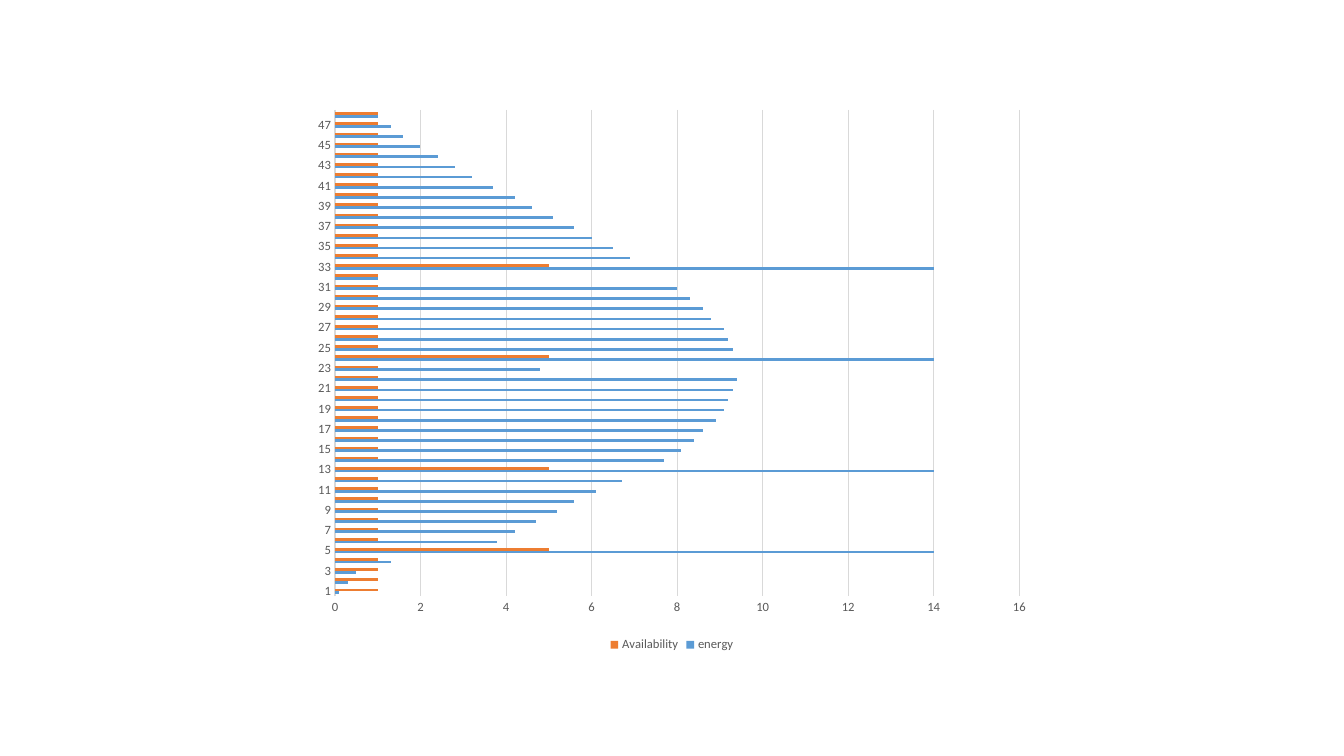
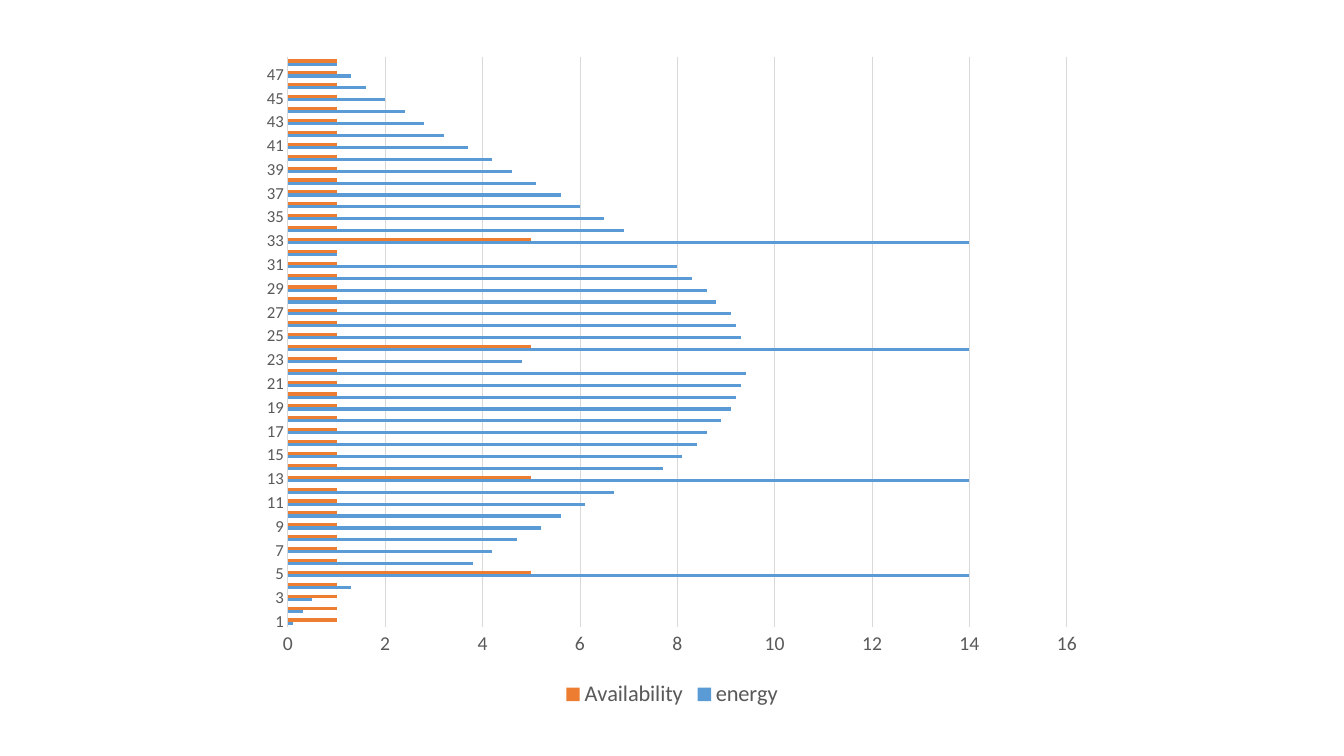
from pptx import Presentation
from pptx.chart.data import CategoryChartData
from pptx.dml.color import RGBColor
from pptx.enum.chart import XL_CHART_TYPE as ChartType
from pptx.enum.chart import XL_LEGEND_POSITION as LegendPosition
from pptx.enum.chart import XL_TICK_MARK as TickMark
from pptx.util import Inches, Pt

ENERGY_BLUE = RGBColor(0x5B, 0x9B, 0xD5)
AVAILABILITY_ORANGE = RGBColor(0xED, 0x7D, 0x31)
LABEL_GRAY = RGBColor(0x59, 0x59, 0x59)
GRID_GRAY = RGBColor(0xD9, 0xD9, 0xD9)
FONT = "Calibri"

PERIODS = range(1, 49)
PEAK_PERIODS = {5, 13, 24, 33}
ENERGY = [
    0.1, 0.3, 0.5, 1.3, 14, 3.8, 4.2, 4.7, 5.2, 5.6, 6.1, 6.7,
    14, 7.7, 8.1, 8.4, 8.6, 8.9, 9.1, 9.2, 9.3, 9.4, 4.8, 14,
    9.3, 9.2, 9.1, 8.8, 8.6, 8.3, 8, 1, 14, 6.9, 6.5, 6,
    5.6, 5.1, 4.6, 4.2, 3.7, 3.2, 2.8, 2.4, 2, 1.6, 1.3, 1,
]
AVAILABILITY = [5 if period in PEAK_PERIODS else 1 for period in PERIODS]


def style_font(font, size):
    """Apply the shared label style at the given size."""
    font.name = FONT
    font.size = Pt(size)
    font.color.rgb = LABEL_GRAY


def style_line(line):
    """Draw a thin gray line."""
    line.color.rgb = GRID_GRAY
    line.width = Pt(0.75)


def energy_data():
    """Return both series over the numbered periods."""
    data = CategoryChartData()
    data.categories = [str(period) for period in PERIODS]
    data.add_series("energy", ENERGY)
    data.add_series("Availability", AVAILABILITY)
    return data


def add_energy_slide(prs, box, period_size, value_size, legend_size):
    """Add a slide with the energy chart in the given box."""
    slide = prs.slides.add_slide(prs.slide_layouts[6])
    chart = slide.shapes.add_chart(
        ChartType.BAR_CLUSTERED, *map(Inches, box), energy_data()
    ).chart
    chart.has_title = False
    chart.font.name = FONT
    chart.font.size = Pt(10)

    bars = chart.plots[0]
    bars.gap_width = 182
    bars.vary_by_categories = False
    for series, color in zip(bars.series, (ENERGY_BLUE, AVAILABILITY_ORANGE)):
        series.invert_if_negative = False
        series.format.fill.solid()
        series.format.fill.fore_color.rgb = color

    periods, values = chart.category_axis, chart.value_axis
    for axis, size in ((periods, period_size), (values, value_size)):
        axis.major_tick_mark = axis.minor_tick_mark = TickMark.NONE
        style_font(axis.tick_labels.font, size)
    style_line(periods.format.line)
    values.format.line.fill.background()
    values.minimum_scale, values.maximum_scale = 0, 16
    values.major_unit = 2
    values.has_major_gridlines = True
    style_line(values.major_gridlines.format.line)

    chart.has_legend = True
    chart.legend.position = LegendPosition.BOTTOM
    chart.legend.include_in_layout = False
    style_font(chart.legend.font, legend_size)


def main():
    """Build and save the presentation."""
    prs = Presentation()
    prs.slide_width, prs.slide_height = Inches(13.33), Inches(7.5)
    add_energy_slide(prs, (3.01, 0.98, 7.31, 5.53), 9, 9, 9)
    add_energy_slide(prs, (2.48, 0.43, 8.37, 6.64), 12, 14, 16)
    prs.save("out.pptx")


if __name__ == "__main__":
    main()
